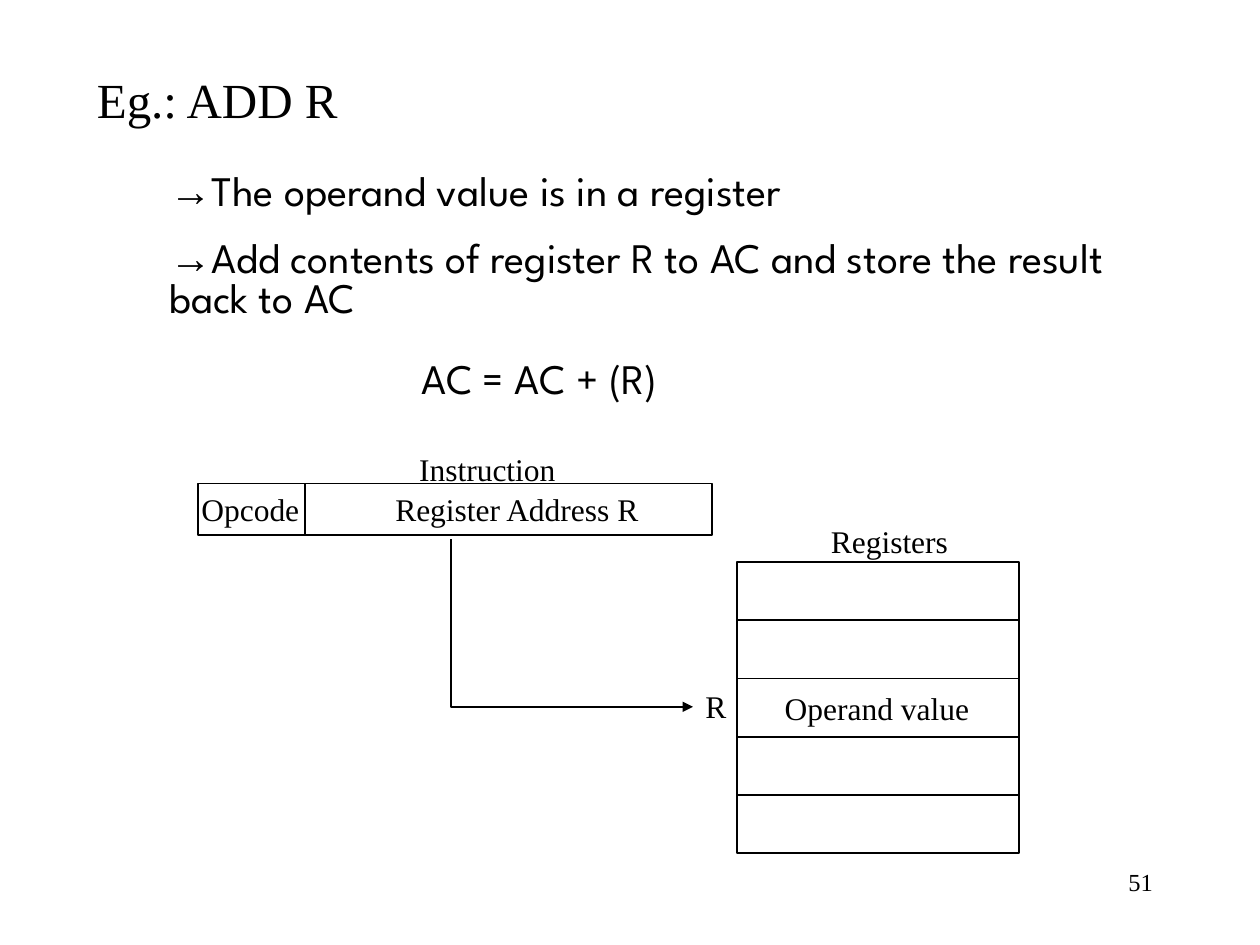
"""Build the register addressing slide with its instruction and register diagram."""
import pptx
import pptx.util
import pptx.dml.color
import pptx.enum.shapes
import pptx.enum.text
import pptx.oxml
import pptx.oxml.ns
from lxml import etree

Cm, Pt = pptx.util.Cm, pptx.util.Pt
ALIGN = pptx.enum.text.PP_ALIGN
AUTO = pptx.enum.text.MSO_AUTO_SIZE
BLACK = "000000"


def rgb(value):
    """Turn a hex string into a colour."""
    return pptx.dml.color.RGBColor.from_string(value)


def write(p, text, size, name="Times New Roman"):
    """Add a formatted run to a paragraph."""
    r = p.add_run()
    r.text = text
    for key, value in {"size": Pt(size), "name": name, "bold": False}.items():
        setattr(r.font, key, value)
    r.font.color.rgb = rgb(BLACK)


prs = pptx.Presentation()
prs.slide_width, prs.slide_height = Cm(25.4), Cm(19.05)
s = prs.slides.add_slide(prs.slide_layouts[5])

title = s.shapes.title
box = {"left": Cm(1.7), "top": Cm(1.27), "width": Cm(21.59), "height": Cm(1.45)}
for key, value in box.items():
    setattr(title, key, value)
tf = title.text_frame
frame = {"word_wrap": True, "auto_size": AUTO.SHAPE_TO_FIT_TEXT,
         "vertical_anchor": pptx.enum.text.MSO_ANCHOR.TOP}
for key, value in frame.items():
    setattr(tf, key, value)
p = tf.paragraphs[0]
p.alignment = ALIGN.LEFT
write(p, "Eg.: ADD R", 28)

body = s.shapes.add_textbox(Cm(1.9), Cm(3.38), Cm(20.96), Cm(4.88))
tf = body.text_frame
tf.word_wrap = True
lines = [
    ("→", "The operand value is in a register", 1.27, 0),
    ("→", "Add contents of register R to AC and store the result back to AC", 1.27, 15.5),
    ("", "AC = AC + (R)", 6.35, 23),
]
for i, (arrow, text, indent, before) in enumerate(lines):
    p = tf.add_paragraph() if i else tf.paragraphs[0]
    p.line_spacing = 0.8
    p.space_before = Pt(before)
    pPr = p._p.get_or_add_pPr()
    pPr.set("marL", str(Cm(indent)))
    pPr.set("indent", "0")
    if arrow:
        write(p, arrow, 24, "Arial")
    write(p, text, 24, "League Spartan")

row_h = (17.2 - 11.33) / 5
boxes = [(3.99, 9.75, 10.36, 1.04)]
boxes += [(14.86, 11.33 + i * row_h, 5.69, row_h) for i in range(5)]
outlines = []
for x, y, w, h in boxes:
    sp = s.shapes.add_shape(pptx.enum.shapes.MSO_SHAPE.RECTANGLE, Cm(x), Cm(y), Cm(w), Cm(h))
    outlines.append(sp)

fb = s.shapes.build_freeform(Cm(9.09), Cm(10.87))
fb.add_line_segments([(Cm(9.09), Cm(14.25)), (Cm(13.97), Cm(14.25))], close=False)
pointer = fb.convert_to_shape()
outlines.append(pointer)
for sp in outlines:
    sp.shadow.inherit = False
    sp.fill.background()

divider = s.shapes.add_connector(
    pptx.enum.shapes.MSO_CONNECTOR.STRAIGHT, Cm(6.15), Cm(9.75), Cm(6.15), Cm(10.79))
etree.SubElement(divider._element.spPr, pptx.oxml.ns.qn("a:effectLst"))
for sp in outlines + [divider]:
    sp.line.color.rgb = rgb(BLACK)
    sp.line.width = Pt(1)
tail = etree.SubElement(pointer.line._get_or_add_ln(), pptx.oxml.ns.qn("a:tailEnd"))
tail.set("type", "triangle")

labels = [
    ("Register Address R", 7.72, 9.76, 5.6, 18, ALIGN.LEFT, False),
    ("Opcode", 3.81, 9.76, 2.6, 18, ALIGN.LEFT, False),
    ("Instruction", 8.2, 8.94, 3.5, 18, ALIGN.LEFT, False),
    ("Registers", 16.5, 10.39, 3.1, 18, ALIGN.LEFT, False),
    ("Operand value", 15.57, 13.77, 4.4, 18, ALIGN.LEFT, False),
    ("R", 13.97, 13.72, 0.84, 18, ALIGN.CENTER, True),
    ("51", 18.21, 17.35, 5.28, 14, ALIGN.RIGHT, True),
]
for text, x, y, w, size, align, wrap in labels:
    sp = s.shapes.add_textbox(Cm(x), Cm(y), Cm(w), Cm(1.02))
    tf = sp.text_frame
    for key, value in {"word_wrap": wrap, "auto_size": AUTO.SHAPE_TO_FIT_TEXT}.items():
        setattr(tf, key, value)
    p = tf.paragraphs[0]
    p.alignment = align
    write(p, text, size)

prs.save("out.pptx")
